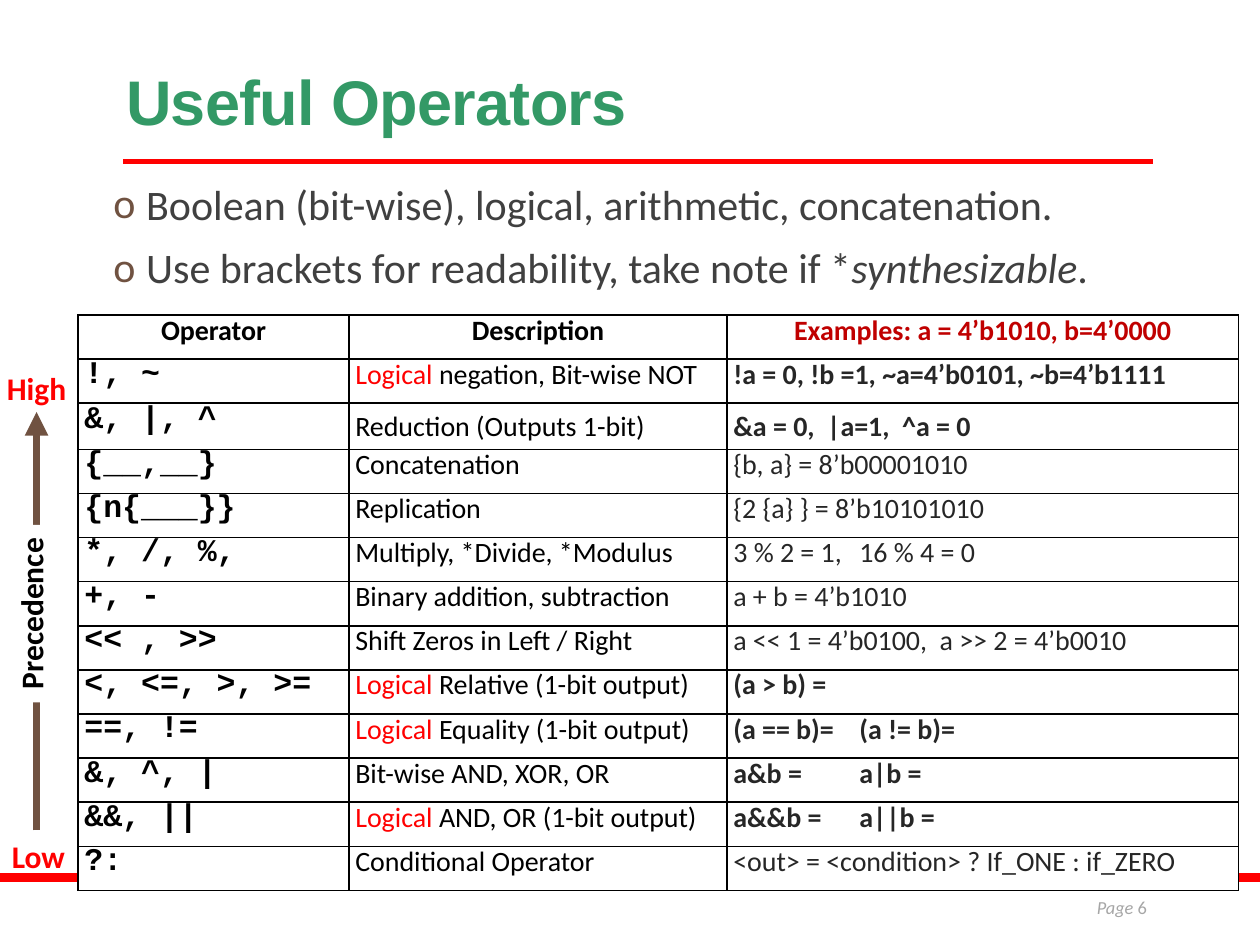
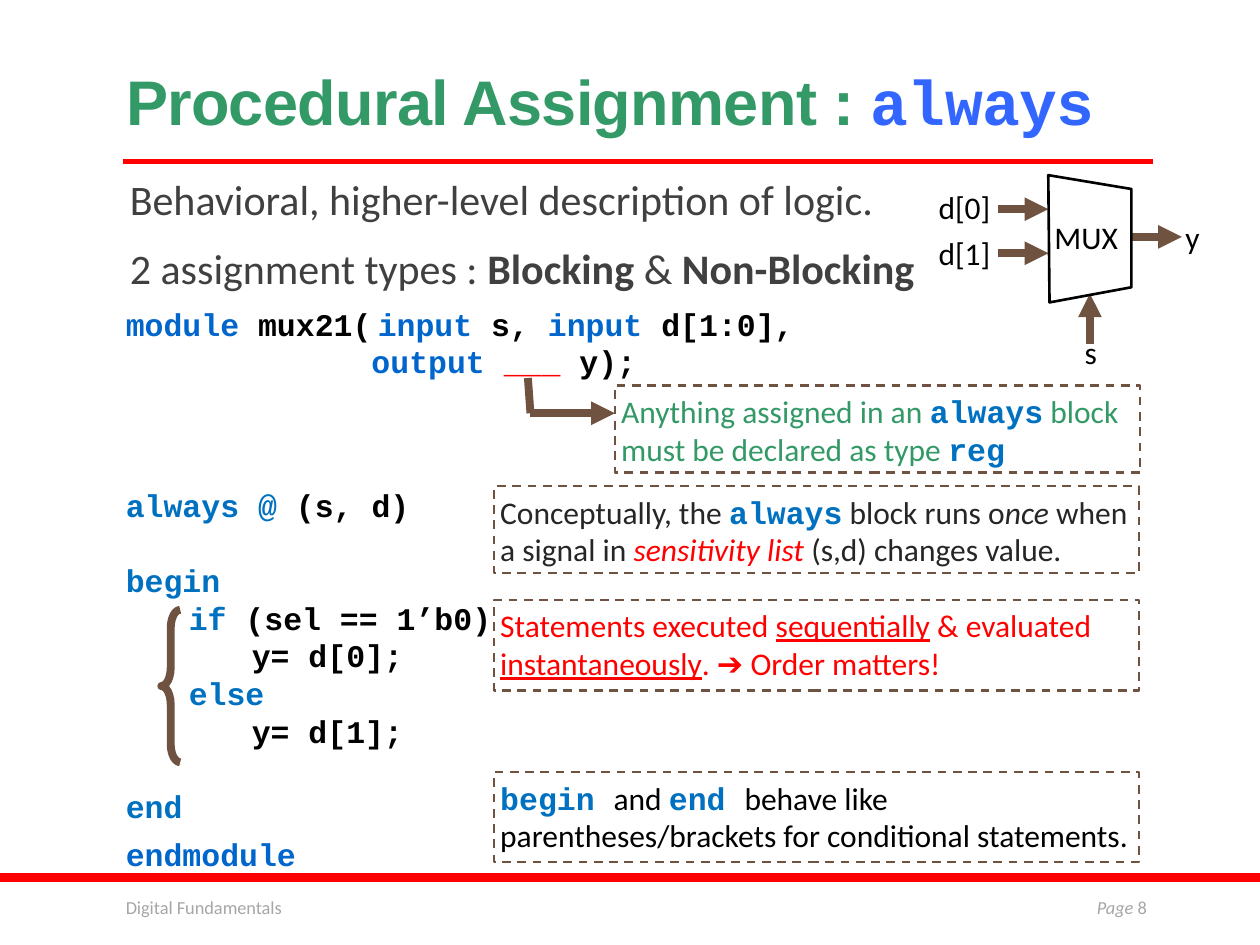
import pptx
import pptx.util
import pptx.dml.color
import pptx.enum.dml
import pptx.enum.shapes
import pptx.enum.text
import pptx.oxml.ns
import lxml.etree

Inches = pptx.util.Inches
Pt = pptx.util.Pt
ALIGN = pptx.enum.text.PP_ALIGN
ANCHOR = pptx.enum.text.MSO_ANCHOR
SHAPE = pptx.enum.shapes.MSO_SHAPE

RED, GREEN, BROWN = "FF0000", "339966", "705241"
BLACK, WHITE, INK, GREY, MUTED = "000000", "FFFFFF", "262626", "404040", "A6A6A6"
MODULE_BLUE, KEYWORD_BLUE, TITLE_BLUE = "0066CC", "0070C0", "3366FF"


def rgb(value):
    return pptx.dml.color.RGBColor.from_string(value)


def child(parent, tag, **attributes):
    return lxml.etree.SubElement(parent, pptx.oxml.ns.qn("a:" + tag), attributes)


def font(color, size=18, **more):
    return {"name": "Calibri", "size": Pt(size), "color": color, **more}


def code(color, size=18):
    return font(color, size, name="Courier New", bold=True)


class Deck:
    def __init__(self):
        self.presentation = pptx.Presentation()
        self.presentation.slide_width = Inches(10)
        self.presentation.slide_height = Inches(7.5)
        self.slide = None

    def start(self, title_runs, page):
        self.slide = self.presentation.slides.add_slide(self.presentation.slide_layouts[1])
        self.placeholder(self.slide.shapes.title, (0.9, 0.31, 8.25, 0.84),
                         [(title_runs, {"alignment": ALIGN.LEFT, "line_spacing": 0.85})],
                         vertical_anchor=ANCHOR.BOTTOM)
        for run in self.slide.shapes.title.text_frame.paragraphs[0].runs:
            run._r.get_or_add_rPr().set("spc", "-40")
        self.box((0, 6.93, 10, 0.07), fill=RED)
        self.line((0.98, 1.28), (9.15, 1.28), RED, 3)
        self.text((8.12, 7.06, 1.08, 0.4),
                  [([("Page ", font(MUTED, 10.5, italic=True)), (page, font(MUTED, 10.5))],
                    {"alignment": ALIGN.RIGHT})])

    def set_text(self, frame, paragraphs, **frame_format):
        for key, value in frame_format.items():
            setattr(frame, key, value)
        for index, (runs, layout) in enumerate(paragraphs):
            paragraph = frame.add_paragraph() if index else frame.paragraphs[0]
            self.lay_out(paragraph, dict(layout))
            for words, style in runs:
                run = paragraph.add_run()
                run.text = words
                for key, value in style.items():
                    if key == "color":
                        run.font.color.rgb = rgb(value)
                    else:
                        setattr(run.font, key, value)

    def lay_out(self, paragraph, layout):
        properties = paragraph._p.get_or_add_pPr()
        left, hang = layout.pop("left", 0), layout.pop("hang", 0)
        bullet, tab = layout.pop("bullet", None), layout.pop("tab", None)
        for key, value in layout.items():
            setattr(paragraph, key, value)
        properties.set("marL", str(Inches(left)))
        properties.set("indent", str(Inches(-hang)))
        if bullet:
            child(child(properties, "buClr"), "srgbClr", val=BROWN)
            child(properties, "buFont", typeface="Calibri")
            child(properties, "buChar", char=bullet)
        else:
            child(properties, "buNone")
        if tab:
            child(child(properties, "tabLst"), "tab", pos=str(Inches(tab)), algn="l")

    def placeholder(self, holder, place, paragraphs, **frame_format):
        for key, value in zip(("left", "top", "width", "height"), place):
            setattr(holder, key, Inches(value))
        self.set_text(holder.text_frame, paragraphs, word_wrap=True,
                      auto_size=pptx.enum.text.MSO_AUTO_SIZE.NONE, **frame_format)

    def body(self, place, paragraphs):
        self.placeholder(self.slide.placeholders[1], place, paragraphs,
                         margin_left=0, margin_right=0, vertical_anchor=ANCHOR.TOP)

    def text(self, place, paragraphs, wrap=True):
        area = self.slide.shapes.add_textbox(*map(Inches, place))
        self.set_text(area.text_frame, paragraphs, word_wrap=wrap)
        return area

    def label(self, place, words, style, align=ALIGN.LEFT):
        return self.text(place, [([(words, style)], {"alignment": align})], wrap=False)

    def paint(self, shape, fill=None, outline=None, width=1):
        shape.shadow.inherit = False
        if fill:
            shape.fill.solid()
            shape.fill.fore_color.rgb = rgb(fill)
        else:
            shape.fill.background()
        if outline:
            shape.line.color.rgb = rgb(outline)
            shape.line.width = Pt(width)
        else:
            shape.line.fill.background()
        return shape

    def box(self, place, kind=SHAPE.RECTANGLE, **colours):
        return self.paint(self.slide.shapes.add_shape(kind, *map(Inches, place)), **colours)

    def callout(self, place, runs):
        note = self.box(place, fill=WHITE, outline=BROWN, width=1.25)
        note.line.dash_style = pptx.enum.dml.MSO_LINE.DASH
        margins = {f"margin_{side}": Inches(0.05) for side in ("left", "top", "right", "bottom")}
        self.set_text(note.text_frame, [(runs, {"alignment": ALIGN.LEFT})],
                      word_wrap=True, vertical_anchor=ANCHOR.TOP, **margins)

    def outline(self, points, color, width):
        (x, y), *rest = [(Inches(px), Inches(py)) for px, py in points]
        builder = self.slide.shapes.build_freeform(x, y)
        builder.add_line_segments(rest, close=True)
        self.paint(builder.convert_to_shape(), outline=color, width=width)

    def line(self, start, end, color=BROWN, width=4.5, arrow=False):
        link = self.slide.shapes.add_connector(
            pptx.enum.shapes.MSO_CONNECTOR.STRAIGHT, *map(Inches, start + end))
        link.line.color.rgb = rgb(color)
        link.line.width = Pt(width)
        properties = link._element.spPr
        if arrow:
            child(properties.get_or_add_ln(), "tailEnd", type="triangle")
        child(properties, "effectLst")

    def table(self, place, widths, rows):
        grid = self.slide.shapes.add_table(len(rows), len(widths), *map(Inches, place)).table
        grid.first_row = grid.horz_banding = False
        for column, width in zip(grid.columns, widths):
            column.width = Inches(width)
        for r, row in enumerate(rows):
            grid.rows[r].height = Inches(0.35)
            for c, paragraph in enumerate(row):
                self.cell(grid.cell(r, c), paragraph)

    def cell(self, cell, paragraph):
        for side in ("left", "top", "right", "bottom"):
            setattr(cell, f"margin_{side}", Inches(0.05))
        cell.vertical_anchor = ANCHOR.MIDDLE
        cell.fill.solid()
        cell.fill.fore_color.rgb = rgb(WHITE)
        properties = cell._tc.get_or_add_tcPr()
        for index, side in enumerate("LRTB"):
            border = child(properties, "ln" + side, w=str(Pt(1)))
            child(child(border, "solidFill"), "srgbClr", val=BLACK)
            properties.insert(index, border)
        self.set_text(cell.text_frame, [paragraph])


HEADINGS = [("Operator", BLACK), ("Description", BLACK),
            ("Examples: a = 4’b1010, b=4’0000", "C00000")]

OPERATORS = [
    ("!, ~", "Logical negation, Bit-wise NOT", "!a = 0, !b =1, ~a=4’b0101, ~b=4’b1111", True, None),
    ("&, |, ^", "Reduction (Outputs 1-bit)", "&a = 0,  |a=1,  ^a = 0", True, None),
    ("{__,__}", "Concatenation", "{b, a} = 8’b00001010", False, None),
    ("{n{___}}", "Replication", "{2 {a} } = 8’b10101010", False, None),
    ("*, /, %,", "Multiply, *Divide, *Modulus", "3 % 2 = 1,\t16 % 4 = 0", False, 1.06),
    ("+, -", "Binary addition, subtraction", "a + b = 4’b1010", False, None),
    ("<< , >>", "Shift Zeros in Left / Right", "a << 1 = 4’b0100,  a >> 2 = 4’b0010", False, None),
    ("<, <=, >, >=", "Logical Relative (1-bit output)", "(a > b) =", True, None),
    ("==, !=", "Logical Equality (1-bit output)", "(a == b)=\t(a != b)=", True, 1.7),
    ("&, ^, |", "Bit-wise AND, XOR, OR", "a&b =\ta|b =", True, 1.8),
    ("&&, ||", "Logical AND, OR (1-bit output)", "a&&b =\ta||b =", True, 1.75),
    ("?:", "Conditional Operator", "<out> = <condition> ? If_ONE : if_ZERO", False, None),
]


def operator_row(symbols, description, example, bold, tab):
    spacing = {} if description.startswith("Reduction") else {"line_spacing": Pt(12)}
    marked, rest = "Logical", description.removeprefix("Logical")
    meaning = [(rest, font(BLACK, 16, bold=False))]
    if rest != description:
        meaning.insert(0, (marked, font(RED, 16, bold=False)))
    return [([(symbols, code(BLACK))], {"line_spacing": Pt(13)}),
            (meaning, spacing),
            ([(example, font(INK, 16, bold=bold))], {**spacing, "tab": tab})]


def useful_operators(deck):
    deck.start([("Useful Operators", font(GREEN, 36, name="Arial", bold=True))], "6")
    point = {"left": 0.26, "hang": 0.26, "bullet": "o", "line_spacing": 0.9,
             "space_before": Pt(9), "space_after": Pt(1.5)}
    plain = font(GREY, 24)
    deck.body((0.9, 1.41, 8.3, 5.39), [
        ([("Boolean (bit-wise), logical, arithmetic, concatenation.", plain)], point),
        ([("Use brackets for readability, take note if *", plain),
          ("synthesizable", font(GREY, 24, italic=True)), (".", plain)], point)])
    heading = [([(words, font(color, 16, bold=True))],
                {"alignment": ALIGN.CENTER, "line_spacing": Pt(12)}) for words, color in HEADINGS]
    deck.table((0.62, 2.5, 9.21, 4.57), (2.15, 3, 4.06),
               [heading] + [operator_row(*entry) for entry in OPERATORS])
    for place, level in (((-0.05, 2.88, 0.68, 0.4), "High"), ((-0.01, 6.59, 0.63, 0.4), "Low")):
        deck.label(place, level, font(RED, bold=True), ALIGN.CENTER)
    deck.line((0.29, 6.59), (0.29, 3.27), arrow=True)
    precedence = deck.label((-0.46, 4.67, 1.41, 0.4), "Precedence",
                            font(BLACK, bold=True), ALIGN.CENTER)
    precedence.rotation = 270
    deck.paint(precedence, fill=WHITE)


def listing(deck, place, lines):
    deck.text(place, [([(words, code(color)) for words, color in runs],
                       {"line_spacing": Pt(21.5), **layout}) for runs, layout in lines])


def multiplexer(deck):
    for start, end in (((7.92, 1.66), (8.32, 1.66)), ((7.92, 2.01), (8.32, 2.01)),
                       ((8.65, 2.73), (8.65, 2.33)), ((8.98, 1.88), (9.38, 1.88))):
        deck.line(start, end, arrow=True)
    deck.outline([(8.32, 1.39), (8.98, 1.5), (8.98, 2.28), (8.33, 2.4)], BLACK, 1.5)
    for words, left, top, width in (("MUX", 8.27, 1.68, 0.71), ("d[0]", 7.35, 1.44, 0.62),
                                    ("d[1]", 7.35, 1.81, 0.62), ("s", 8.51, 2.59, 0.3),
                                    ("y", 9.31, 1.68, 0.32)):
        deck.label((left, top, width, 0.4), words, font(BLACK))


def procedural_assignment(deck):
    deck.start([("Procedural Assignment : ", font(GREEN, 36, name="Arial", bold=True)),
                ("always", code(TITLE_BLUE, 36))], "8")
    point = {"left": 0.1, "space_before": Pt(9), "space_after": Pt(1.5)}
    plain, strong = font(GREY, 24), font(GREY, 24, bold=True)
    deck.body((0.93, 1.33, 6.52, 1.09), [
        ([("Behavioral, higher-level description of logic.", plain)], point),
        ([("2 assignment types : ", plain), ("Blocking", strong), (" & ", plain),
          ("Non-Blocking", strong)], point)])
    deck.text((0.9, 7.06, 3.96, 0.4), [([("Digital Fundamentals", font(MUTED, 10.5))], {})])
    listing(deck, (0.9, 2.37, 6.14, 4.64), [
        ([("module ", MODULE_BLUE), ("mux21(\t", BLACK), ("input", MODULE_BLUE), (" s, ", BLACK),
          ("input", MODULE_BLUE), (" d[1:0],", BLACK)], {"tab": 2}),
        ([("output ", MODULE_BLUE), ("___ ", RED), ("y);", BLACK)], {"left": 1.95}),
        ([("endmodule", MODULE_BLUE)], {"space_before": Pt(260)})])
    gap = {"space_before": Pt(21.5)}
    listing(deck, (0.9, 3.81, 5, 2.83), [
        ([("always @ ", KEYWORD_BLUE), ("(s, d)", BLACK)], {}),
        ([("begin", KEYWORD_BLUE)], gap),
        ([("if ", KEYWORD_BLUE), ("(sel == 1’b0)", BLACK)], {"left": 0.5}),
        ([("y= d[0];", BLACK)], {"left": 1}),
        ([("else", KEYWORD_BLUE)], {"left": 0.5}),
        ([("y= d[1];", BLACK)], {"left": 1}),
        ([("end", KEYWORD_BLUE)], gap)])
    keyword, ink, black = code(KEYWORD_BLUE), font(INK), font(BLACK)
    green, red, underlined = font(GREEN), font(RED), font(RED, underline=True)
    deck.callout((3.92, 3.86, 5.12, 0.69), [
        ("Conceptually, the ", ink), ("always", keyword), (" block runs o", ink),
        ("nce ", font(INK, italic=True)), ("when a signal in ", ink),
        ("sensitivity list ", font(RED, italic=True)), ("(s,d) changes value.", ink)])
    deck.callout((3.92, 4.76, 5.12, 0.72), [
        ("Statements executed ", red), ("sequentially", underlined), (" & evaluated ", red),
        ("instantaneously", underlined), (". ➔ Order matters!", red)])
    deck.callout((3.92, 6.13, 5.12, 0.71), [
        ("begin ", keyword), ("and ", black), ("end ", keyword),
        ("behave like parentheses/brackets for conditional statements.", black)])
    brace = deck.box((1.28, 4.84, 0.15, 1.21), SHAPE.LEFT_BRACE, outline=BROWN, width=4.5)
    brace.adjustments[0] = 0.96
    multiplexer(deck)
    deck.callout((4.88, 3.06, 4.17, 0.69), [
        ("Anything assigned in an ", green), ("always", keyword),
        (" block must be declared as type ", green), ("reg", keyword)])
    deck.line((4.19, 3), (4.21, 3.28))
    deck.line((4.21, 3.28), (4.88, 3.28), arrow=True)


def main():
    deck = Deck()
    useful_operators(deck)
    procedural_assignment(deck)
    deck.presentation.save("out.pptx")


if __name__ == "__main__":
    main()
